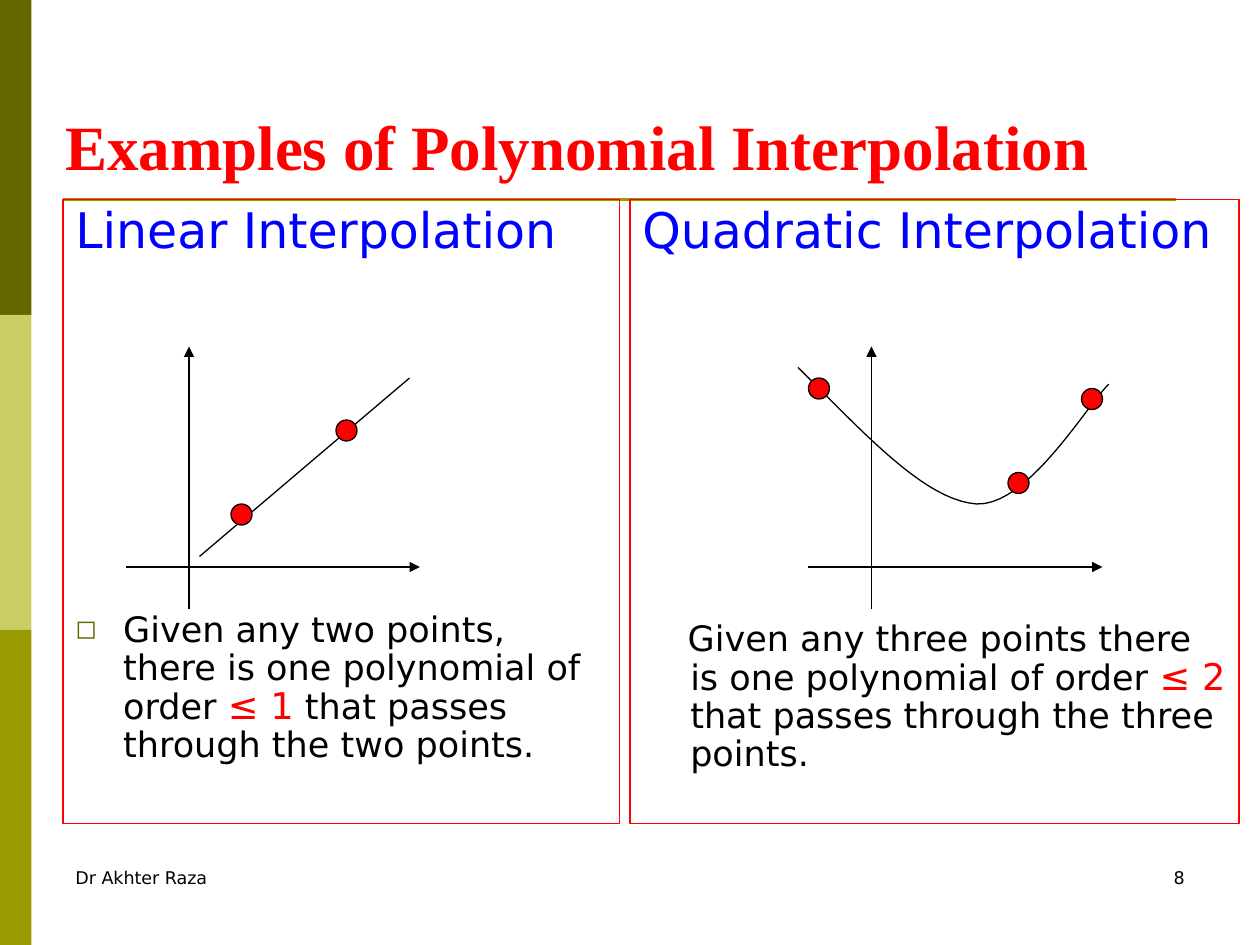
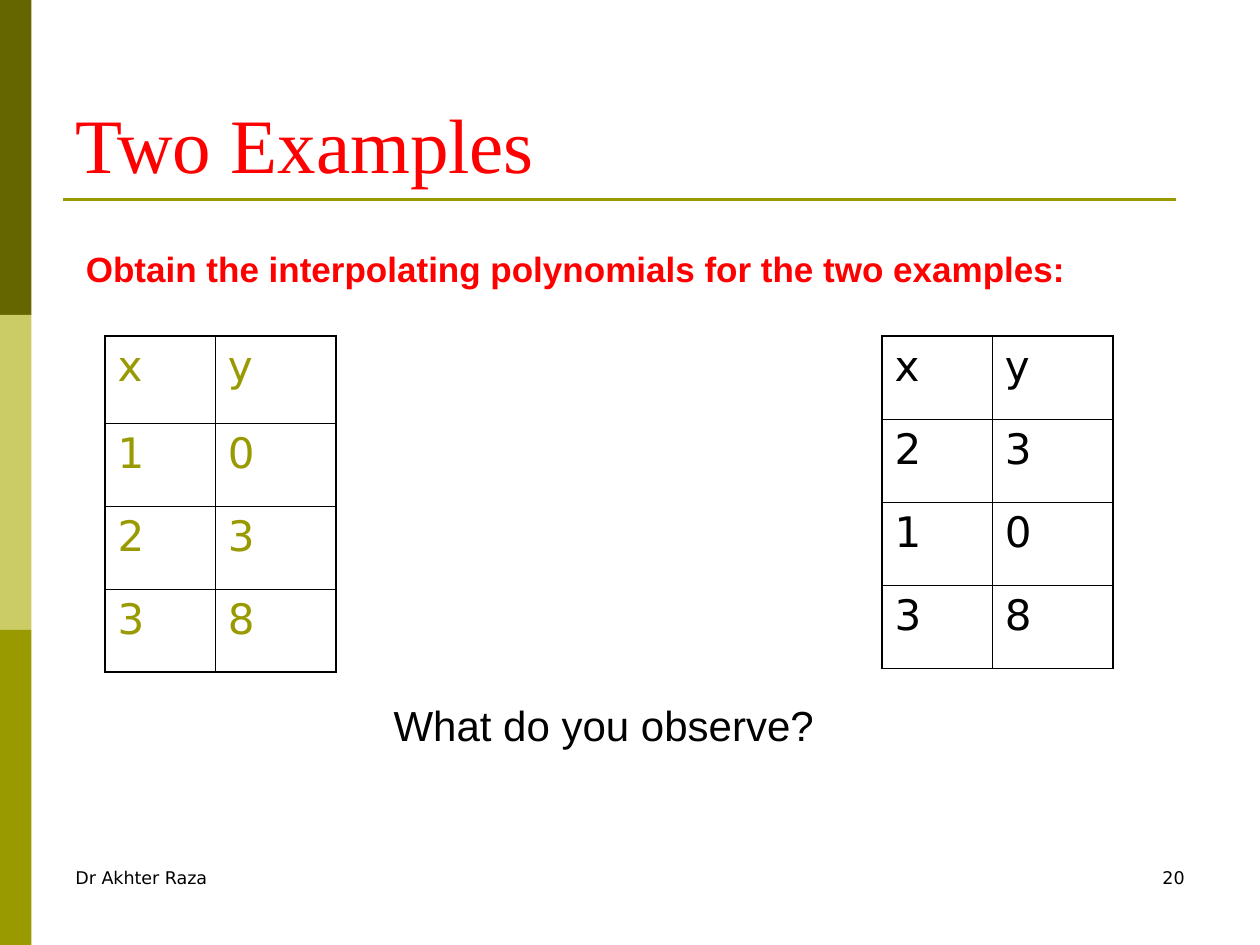
from dataclasses import dataclass

from lxml.etree import SubElement
from pptx import Presentation
from pptx.dml.color import RGBColor
from pptx.enum.shapes import MSO_CONNECTOR, MSO_SHAPE
from pptx.enum.text import MSO_ANCHOR, PP_ALIGN
from pptx.oxml.ns import qn
from pptx.util import Inches, Pt


@dataclass(frozen=True)
class Theme:
    olive: str = "999900"
    dark_olive: str = "666600"
    pale_olive: str = "CCCC66"
    red: str = "FF0000"
    blue: str = "0000FF"
    black: str = "000000"
    body_font: str = "DejaVu Sans"
    title_font: str = "Times New Roman"
    note_font: str = "Arial"
    small: int = 10
    body: int = 20
    symbol: int = 21
    cell: int = 24
    heading: int = 28
    long_title: int = 36
    title: int = 44
    hairline: float = 0.75
    rule: float = 1.5
    cell_inner: float = 0.45
    cell_outer: float = 1.08


class Deck:
    """Draws styled elements on the current slide, on a grid of 120 columns by 90 rows."""

    COLS, ROWS = 120, 90

    def __init__(self, theme):
        self.theme = theme
        self.prs = Presentation()
        self.prs.slide_width, self.prs.slide_height = Inches(10), Inches(7.5)
        self.s = None

    def x(self, cols):
        return round(self.prs.slide_width * cols / self.COLS)

    def y(self, rows):
        return round(self.prs.slide_height * rows / self.ROWS)

    def box(self, left, top, width, height):
        return self.x(left), self.y(top), self.x(width), self.y(height)

    def style(self, font, size, color, name=None, bold=False):
        font.size, font.bold = Pt(size), bold
        font.name = name or self.theme.body_font
        font.color.rgb = RGBColor.from_string(color)

    def slide(self, number):
        t = self.theme
        self.s = self.prs.slides.add_slide(self.prs.slide_layouts[5])
        for i, color in enumerate((t.dark_olive, t.pale_olive, t.olive)):
            self.shape(MSO_SHAPE.RECTANGLE, (0, 30 * i, 3, 30), fill=color)
        self.line((6, 19), (112, 19), t.olive, t.rule)
        self.text("Dr Akhter Raza", (6, 82, 28, 6), t.small)
        self.text(number, (86, 82, 28, 6), t.small, align=PP_ALIGN.RIGHT)

    def title(self, text, box, size, bold=False):
        sp = self.s.shapes.title
        sp.left, sp.top, sp.width, sp.height = self.box(*box)
        tf = sp.text_frame
        tf.text, tf.vertical_anchor = text, MSO_ANCHOR.BOTTOM
        p = tf.paragraphs[0]
        p.alignment = PP_ALIGN.LEFT
        self.style(p.font, size, self.theme.red, self.theme.title_font, bold)

    def text(self, text, box, size, color=None, name=None, bold=False,
             align=PP_ALIGN.LEFT, before=0):
        tf = self.s.shapes.add_textbox(*self.box(*box)).text_frame
        tf.word_wrap, tf.text = True, text
        p = tf.paragraphs[0]
        p.alignment, p.space_before = align, Pt(before)
        self.style(p.font, size, color or self.theme.black, name, bold)

    def outline(self, sp, fill=None, line=None):
        sp.shadow.inherit = False
        if fill:
            sp.fill.solid()
            sp.fill.fore_color.rgb = RGBColor.from_string(fill)
        else:
            sp.fill.background()
        if line:
            sp.line.color.rgb = RGBColor.from_string(line)
            sp.line.width = Pt(self.theme.hairline)
        else:
            sp.line.fill.background()

    def shape(self, kind, box, fill=None, line=None):
        sp = self.s.shapes.add_shape(kind, *self.box(*box))
        self.outline(sp, fill, line)
        return sp

    def line(self, start, end, color=None, width=None, arrow=False):
        cxn = self.s.shapes.add_connector(
            MSO_CONNECTOR.STRAIGHT, self.x(start[0]), self.y(start[1]),
            self.x(end[0]), self.y(end[1]))
        cxn.line.color.rgb = RGBColor.from_string(color or self.theme.black)
        cxn.line.width = Pt(width or self.theme.hairline)
        sp_pr = cxn.element.spPr
        if arrow:
            SubElement(sp_pr.find(qn("a:ln")), qn("a:tailEnd"), type="triangle")
        SubElement(sp_pr, qn("a:effectLst"))

    def axes(self, origin):
        self.line((origin, 58), (origin, 33), arrow=True)
        self.line((origin - 6, 54), (origin + 22, 54), arrow=True)

    def dots(self, *corners):
        for left, top in corners:
            self.shape(MSO_SHAPE.OVAL, (left, top, 2, 2), self.theme.red, self.theme.black)

    def curve(self, *segments, steps=20):
        points = []
        for a, b, c, d in segments:
            for i in range(steps + 1):
                k = i / steps
                weights = (1 - k) ** 3, 3 * k * (1 - k) ** 2, 3 * k * k * (1 - k), k ** 3
                col, row = (sum(w * q[n] for w, q in zip(weights, (a, b, c, d)))
                            for n in (0, 1))
                points.append((self.x(col), self.y(row)))
        fb = self.s.shapes.build_freeform(*points[0])
        fb.add_line_segments(points[1:], close=False)
        self.outline(fb.convert_to_shape(), line=self.theme.black)

    def panel(self, box, heading, statement, gap, indent, bullet=None):
        t = self.theme
        tf = self.shape(MSO_SHAPE.RECTANGLE, box, line=t.red).text_frame
        tf.word_wrap, tf.vertical_anchor = True, MSO_ANCHOR.TOP
        p = tf.paragraphs[0]
        p.text, p.alignment = heading, PP_ALIGN.LEFT
        p.line_spacing, p.space_before = 0.9, Pt(7)
        self.style(p.font, t.heading, t.blue)

        p = tf.add_paragraph()
        p.alignment, p.line_spacing, p.space_before = PP_ALIGN.LEFT, 0.9, Pt(gap)
        p_pr = p._p.get_or_add_pPr()
        p_pr.set("marL", str(Inches(0.38)))
        p_pr.set("indent", str(Inches(indent)))
        if bullet:
            SubElement(SubElement(p_pr, qn("a:buClr")), qn("a:srgbClr"), val=t.dark_olive)
            SubElement(p_pr, qn("a:buSzPct"), val="75000")
            SubElement(p_pr, qn("a:buFont"), typeface=t.body_font)
            SubElement(p_pr, qn("a:buChar"), char=bullet)
        for i, part in enumerate(statement):
            r = p.add_run()
            r.text = part
            size, color = (t.symbol, t.red) if i == 1 else (t.body, t.black)
            self.style(r.font, size, color)

    def borders(self, cell, outer_sides):
        tc_pr = cell._tc.get_or_add_tcPr()
        for side in "LRTB":
            width = self.theme.cell_outer if side in outer_sides else self.theme.cell_inner
            ln = SubElement(tc_pr, qn(f"a:ln{side}"), w=str(Pt(width)))
            fill = SubElement(ln, qn("a:solidFill"))
            SubElement(fill, qn("a:srgbClr"), val=self.theme.black)

    def table(self, left, top, widths, heights, rows, color):
        frame = self.s.shapes.add_table(
            len(rows), len(widths), *self.box(left, top, sum(widths), sum(heights)))
        tbl = frame.table
        tbl.first_row = tbl.horz_banding = False
        for col, width in zip(tbl.columns, widths):
            col.width = self.x(width)
        for row, height in zip(tbl.rows, heights):
            row.height = self.y(height)
        for i, values in enumerate(rows):
            for j, value in enumerate(values):
                cell = tbl.cell(i, j)
                sides = {"L": j == 0, "R": j == len(widths) - 1,
                         "T": i == 0, "B": i == len(rows) - 1}
                self.borders(cell, [side for side, outer in sides.items() if outer])
                cell.fill.background()
                cell.text = value
                p = cell.text_frame.paragraphs[0]
                p.space_before = Pt(6)
                self.style(p.font, self.theme.cell, color)


def interpolation_slide(deck):
    t = deck.theme
    deck.slide("8")
    deck.title("Examples of Polynomial Interpolation", (5, 3, 108, 15), t.long_title, bold=True)
    deck.panel((6, 19, 53, 59.4), "Linear Interpolation",
               ("Given any two points, there is one polynomial of order ", "≤ 1",
                " that passes through the two points."),
               gap=202, indent=-0.38, bullet="◻")
    deck.panel((60, 19, 58, 59.4), "Quadratic Interpolation",
               ("Given any three points there is one polynomial of order ", "≤ 2",
                " that passes through the three points."),
               gap=207, indent=-0.02)
    deck.axes(18)
    deck.line((19, 53), (39, 36))
    deck.dots((22, 48), (32, 40))
    deck.axes(83)
    deck.curve(((105.6, 36.6), (103.56, 38.52), (97.92, 48.24), (93, 48)),
               ((93, 48), (88.08, 47.64), (82.44, 41.4), (76, 35)))
    deck.dots((77, 36), (96, 45), (103, 37))


def examples_slide(deck):
    t = deck.theme
    deck.slide("20")
    deck.title("Two Examples", (6, 3.6, 108, 15), t.title)
    deck.text("Obtain the interpolating polynomials for the two examples:",
              (7, 23, 101, 5.28), t.body, t.red, t.note_font, bold=True, before=12.5)
    widths, row = (10.5, 11.5), 7.92
    deck.table(10, 32, widths, (8.28, row, row, row), ("xy", "10", "23", "38"), t.olive)
    deck.table(84, 32, widths, (row,) * 4, ("xy", "23", "10", "38"), t.black)
    deck.text("What do you observe?", (14, 66, 87, 6), t.cell, name=t.note_font,
              align=PP_ALIGN.CENTER, before=15)


def main():
    deck = Deck(Theme())
    interpolation_slide(deck)
    examples_slide(deck)
    deck.prs.save("out.pptx")


if __name__ == "__main__":
    main()
